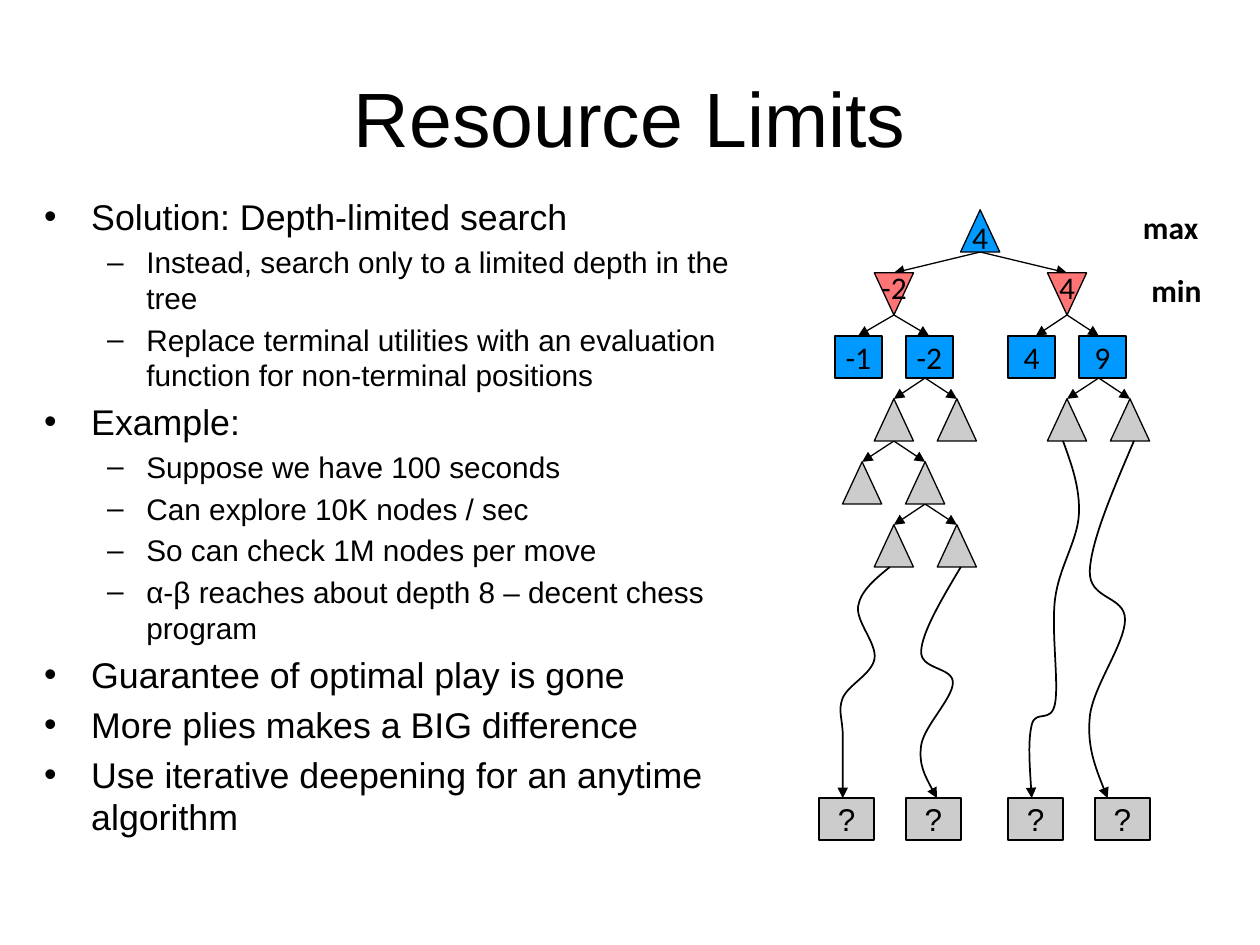
from lxml.etree import SubElement
from pptx import Presentation
from pptx.dml.color import RGBColor
from pptx.enum.shapes import MSO_CONNECTOR, MSO_SHAPE
from pptx.enum.text import MSO_ANCHOR, PP_ALIGN
from pptx.oxml.ns import qn
from pptx.util import Cm, Pt

BLACK = RGBColor(0x00, 0x00, 0x00)
GREY = RGBColor(0xCC, 0xCC, 0xCC)
BLUE = RGBColor(0x00, 0x99, 0xFF)
RED = RGBColor(0xFF, 0x75, 0x75)

TOP, PITCH, HEIGHT, TRIANGLE_WIDTH = 4.23, 1.27, 0.85, 0.79
LEAF_TOP = 16.09

POINTS = [
    (0, "Solution: Depth-limited search"),
    (1, "Instead, search only to a limited depth in the tree"),
    (1, "Replace terminal utilities with an evaluation function for non-terminal positions"),
    (0, "Example:"),
    (1, "Suppose we have 100 seconds"),
    (1, "Can explore 10K nodes / sec"),
    (1, "So can check 1M nodes per move"),
    (1, "α-β reaches about depth 8 – decent chess program"),
    (0, "Guarantee of optimal play is gone"),
    (0, "More plies makes a BIG difference"),
    (0, "Use iterative deepening for an anytime algorithm"),
]
LEVELS = [("•", 20.4, 0.95, -0.95), ("–", 17, 2.06, -0.79)]

BRANCHES = [
    (19.76, 0, (18.02, 21.51)),
    (18.02, 1, (17.3, 18.73)),
    (21.51, 1, (20.88, 22.15)),
    (18.65, 2, (18.02, 19.29)),
    (22.15, 2, (21.51, 22.78)),
    (18.02, 3, (17.38, 18.65)),
    (18.65, 4, (18.02, 19.29)),
]
UNEXPLORED = [(18.02, 3), (19.29, 3), (21.51, 3), (22.78, 3),
              (17.38, 4), (18.65, 4), (18.02, 5), (19.29, 5)]
VALUES = [(16.83, "-1"), (18.26, "-2"), (20.32, "4"), (21.75, "9")]
UNKNOWN_LEFTS = [16.51, 18.26, 20.32, 22.07]
DEEP_TRAILS = [
    [(17.94, 11.43), (17.3, 12.22), (17.63, 13.28), (16.99, 14.07), (16.99, 14.83), (16.99, LEAF_TOP)],
    [(19.37, 11.43), (18.57, 13.12), (19.21, 13.76), (18.57, 15.03), (18.89, LEAF_TOP)],
    [(22.86, 8.89), (21.97, 11.5), (22.68, 12.49), (21.97, 14.45), (22.33, LEAF_TOP)],
    [(21.43, 8.89), (21.75, 10.37), (21.27, 12.07), (21.27, 14.18), (20.8, 14.61), (20.8, LEAF_TOP)],
]


def row_top(row):
    return TOP + row * PITCH


def midpoint(first, second):
    return tuple((a + b) / 2 for a, b in zip(first, second))


def smooth_curves(knots):
    slopes = [tuple((b - a) / 6 for a, b in zip(before, after))
              for before, after in zip(knots, knots[2:])]
    leaving = [tuple(k + s for k, s in zip(knot, slope)) for knot, slope in zip(knots[1:], slopes)]
    arriving = [tuple(k - s for k, s in zip(knot, slope)) for knot, slope in zip(knots[1:], slopes)]
    leaving.insert(0, midpoint(knots[0], arriving[0]))
    arriving.append(midpoint(leaving[-1], knots[-1]))
    return list(zip(leaving, arriving, knots[1:]))


class TreePage:
    def __init__(self, page):
        self.page = page
        self.ink = BLACK
        self.thin, self.thick = Pt(0.75), Pt(1)

    def format_text(self, para, size, font="Arial", bold=False):
        for span in para.runs:
            span.font.size = Pt(size)
            span.font.name = font
            span.font.bold = bold
            span.font.color.rgb = self.ink

    def label(self, left, top, width, height, text, size, font="Arial", bold=False):
        box = self.page.shapes.add_textbox(Cm(left), Cm(top), Cm(width), Cm(height))
        frame = box.text_frame
        frame.word_wrap = True
        frame.vertical_anchor = MSO_ANCHOR.MIDDLE
        frame.text = text
        frame.paragraphs[0].alignment = PP_ALIGN.CENTER
        self.format_text(frame.paragraphs[0], size, font, bold)

    def outline(self, left, top, width, height, points):
        frame = self.page.shapes.add_textbox(Cm(left), Cm(top), Cm(width), Cm(height)).text_frame
        frame.word_wrap = True
        frame.text = "\n".join(text for level, text in points)
        for index, (para, (level, text)) in enumerate(zip(frame.paragraphs, points)):
            mark, size, margin, indent = LEVELS[level]
            if index:
                para.space_before = Pt(size * 0.2)
            properties = para._p.get_or_add_pPr()
            properties.set("marL", str(Cm(margin)))
            properties.set("indent", str(Cm(indent)))
            SubElement(properties, qn("a:buFont"), typeface="Arial")
            SubElement(properties, qn("a:buChar"), char=mark)
            self.format_text(para, size)

    def add_arrowhead(self, line):
        line.color.rgb = self.ink
        SubElement(line._get_or_add_ln(), qn("a:tailEnd"), type="triangle")

    def arrow(self, start, end):
        connector = self.page.shapes.add_connector(
            MSO_CONNECTOR.STRAIGHT, *(Cm(value) for value in start + end))
        connector.line.width = self.thin
        self.add_arrowhead(connector.line)
        SubElement(connector._element.spPr, qn("a:effectLst"))

    def trail(self, knots):
        corners = [(Cm(x), Cm(y)) for x, y in knots]
        builder = self.page.shapes.build_freeform(*corners[0])
        builder.add_line_segments(corners[1:], close=False)
        trail = builder.convert_to_shape()
        segments = list(trail._element.iter(qn("a:lnTo")))
        for segment, curve in zip(segments, smooth_curves(knots)):
            bend = segment.makeelement(qn("a:cubicBezTo"))
            for x, y in curve:
                SubElement(bend, qn("a:pt"), x=str(Cm(x) - trail.left), y=str(Cm(y) - trail.top))
            segment.getparent().replace(segment, bend)
        trail.shadow.inherit = False
        trail.fill.background()
        trail.line.width = self.thick
        self.add_arrowhead(trail.line)

    def node(self, kind, left, top, width, fill, line_width):
        shape = self.page.shapes.add_shape(kind, Cm(left), Cm(top), Cm(width), Cm(HEIGHT))
        shape.shadow.inherit = False
        shape.fill.solid()
        shape.fill.fore_color.rgb = fill
        shape.line.color.rgb = self.ink
        shape.line.width = line_width
        return shape

    def write_value(self, shape, text, font, anchor=MSO_ANCHOR.MIDDLE):
        frame = shape.text_frame
        frame.word_wrap = False
        frame.vertical_anchor = anchor
        frame.text = text
        frame.paragraphs[0].alignment = PP_ALIGN.CENTER
        self.format_text(frame.paragraphs[0], 18, font)

    def square(self, left, top, width, fill, text, font):
        shape = self.node(MSO_SHAPE.RECTANGLE, left, top, width, fill, self.thick)
        self.write_value(shape, text, font)

    def triangle(self, center, row, fill):
        return self.node(MSO_SHAPE.ISOSCELES_TRIANGLE, center - TRIANGLE_WIDTH / 2,
                         row_top(row), TRIANGLE_WIDTH, fill, self.thin)

    def max_node(self, center, row, text):
        shape = self.triangle(center, row, BLUE)
        self.write_value(shape, text, "Calibri", MSO_ANCHOR.BOTTOM)
        shape.text_frame.margin_top = Cm(0.51)

    def min_node(self, center, row, text):
        shape = self.triangle(center, row, RED)
        shape.rotation = 180
        self.write_value(shape, text, "Calibri")
        shape.text_frame.margin_top = Cm(0.25)
        shape.text_frame._txBody.bodyPr.set("rot", "10800000")


def main():
    deck = Presentation()
    deck.slide_width, deck.slide_height = Cm(25.4), Cm(19.05)
    tree = TreePage(deck.slides.add_slide(deck.slide_layouts[6]))

    tree.label(1.27, 0.76, 22.86, 3.18, "Resource Limits", 44)
    tree.outline(0.64, 3.81, 14.76, 13.97, POINTS)

    for parent, row, children in BRANCHES:
        for child in children:
            tree.arrow((parent, row_top(row) + HEIGHT), (child, row_top(row + 1)))
    for center, row in UNEXPLORED:
        tree.triangle(center, row, GREY)
    for left in UNKNOWN_LEFTS:
        tree.square(left, LEAF_TOP, 1.11, GREY, "?", "Arial")
    for knots in DEEP_TRAILS:
        tree.trail(knots)
    for left, value in VALUES:
        tree.square(left, row_top(2), 0.95, BLUE, value, "Calibri")

    tree.max_node(19.76, 0, "4")
    tree.min_node(18.02, 1, "-2")
    tree.min_node(21.51, 1, "4")
    tree.label(22.43, 4.06, 2.34, 1.02, "max", 18, "Calibri", True)
    tree.label(22.66, 5.33, 2.11, 1.02, "min", 18, "Calibri", True)

    deck.save("out.pptx")


if __name__ == "__main__":
    main()
